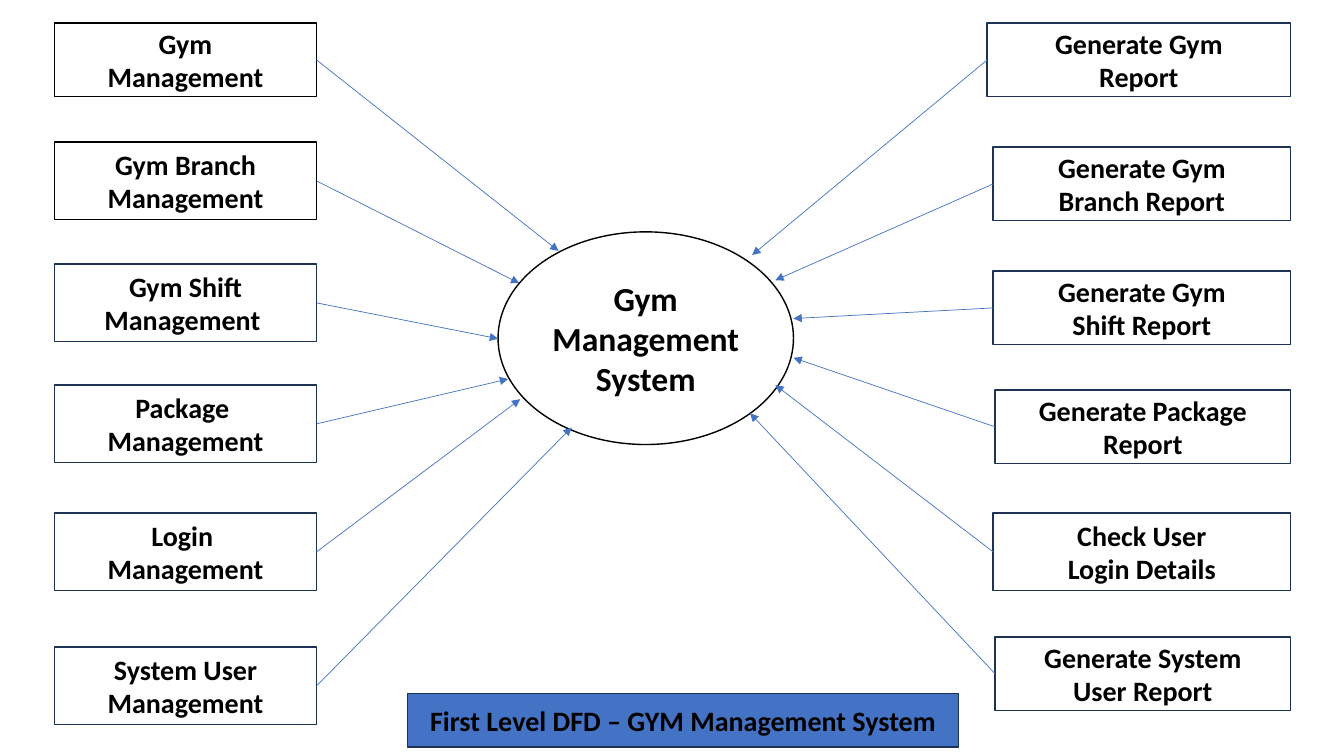
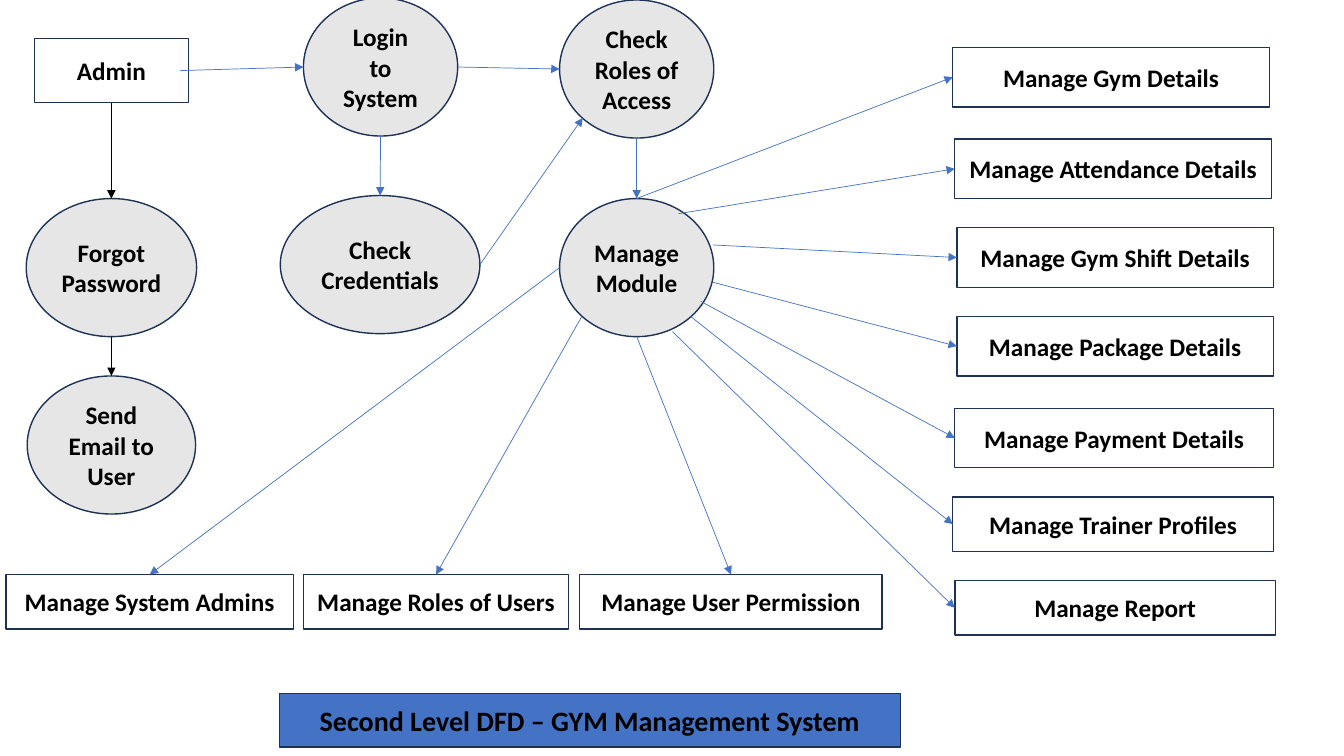
import dataclasses

import lxml.etree
import pptx
import pptx.dml.color
import pptx.enum.shapes
import pptx.enum.text
import pptx.oxml.ns
import pptx.shapes.autoshape
import pptx.slide
import pptx.util

Inches = pptx.util.Inches
RGBColor = pptx.dml.color.RGBColor
MSO_SHAPE = pptx.enum.shapes.MSO_SHAPE
qn = pptx.oxml.ns.qn

BLACK = RGBColor(0x00, 0x00, 0x00)
WHITE = RGBColor(0xFF, 0xFF, 0xFF)
GREY = RGBColor(0xE7, 0xE6, 0xE6)
BLUE = RGBColor(0x44, 0x72, 0xC4)
NAVY = RGBColor(0x1E, 0x32, 0x56)
FONT = "Calibri"

Point = tuple[float, float]


@dataclasses.dataclass(frozen=True)
class Node:
    text: str
    left: float
    top: float
    width: float
    height: float
    size: int = 18
    fill: RGBColor = WHITE
    line: RGBColor = NAVY
    shape: MSO_SHAPE = MSO_SHAPE.RECTANGLE

    @property
    def west(self) -> Point:
        return self.left, self.top + self.height / 2

    @property
    def east(self) -> Point:
        return self.left + self.width, self.top + self.height / 2

    @property
    def north(self) -> Point:
        return self.left + self.width / 2, self.top

    @property
    def south(self) -> Point:
        return self.left + self.width / 2, self.top + self.height


@dataclasses.dataclass(frozen=True)
class Link:
    node: Node
    end: Point


def process(text: str, left: float, top: float, width: float = 1.53) -> Node:
    return Node(text, left, top, width, 1.37, fill=GREY,
                shape=MSO_SHAPE.FLOWCHART_CONNECTOR)


def module(text: str, left: float, top: float, width: float = 3.14,
           height: float = 0.59) -> Node:
    return Node(text, left, top, width, height)


def management(text: str, top: float, height: float = 0.77,
               line: RGBColor = NAVY) -> Node:
    return Node(text, 0.54, top, 2.6, height, 20, line=line)


def report(text: str, left: float, top: float, height: float = 0.73) -> Node:
    return Node(text, left, top, 12.8 - left, height, 20)


SYSTEM = Node("Gym\vManagement\vSystem", 4.94, 2.3, 2.93, 2.11, 24,
              line=BLACK, shape=MSO_SHAPE.OVAL)

MANAGEMENT_LINKS = [
    Link(management("Gym\vManagement", 0.23, 0.73, BLACK), (5.54, 2.49)),
    Link(management("Gym Branch Management", 1.41, line=BLACK), (5.15, 2.81)),
    Link(management("Gym Shift\nManagement ", 2.62), (4.94, 3.36)),
    Link(management("Package \nManagement", 3.82), (5.04, 3.76)),
    Link(management("Login \nManagement", 5.09), (5.16, 3.96)),
    Link(management("System User\vManagement", 6.42), (5.67, 4.24)),
]

REPORT_LINKS = [
    Link(report("Generate Gym\vReport", 9.79, 0.23), (7.46, 2.53)),
    Link(report("Generate Gym\vBranch Report", 9.85, 1.46), (7.69, 2.78)),
    Link(report("Generate Gym\vShift Report", 9.85, 2.69), (7.87, 3.16)),
    Link(report("Generate Package\vReport", 9.87, 3.87), (7.87, 3.55)),
    Link(report("Check User\vLogin Details", 9.85, 5.09, 0.77), (7.69, 3.82)),
    Link(report("Generate System\vUser Report", 9.87, 6.32), (7.44, 4.1)),
]

LOGIN = process("Login\vto\vSystem", 3.01, -0.02)
ROLES = process("Check\vRoles of\vAccess", 5.55, 0)
CREDENTIALS = process("Check\nCredentials", 2.78, 1.94, 1.98)
MANAGE = process("Manage\vModule", 5.55, 1.97)
FORGOT = process("Forgot\vPassword", 0.26, 1.97, 1.69)
EMAIL = process("Send\vEmail to\vUser", 0.27, 3.73, 1.67)
ADMIN = module("Admin", 0.34, 0.38, 1.53, 0.64)

DETAIL_LINKS = [
    Link(module("Manage Gym Details", 9.45, 0.47), MANAGE.north),
    Link(module("Manage Attendance Details", 9.47, 1.38), (6.73, 2.12)),
    Link(module("Manage Gym Shift Details", 9.49, 2.26), (7.07, 2.43)),
    Link(module("Manage Package Details", 9.49, 3.14), (7.07, 2.8)),
    Link(module("Manage Payment Details", 9.47, 4.05, 3.16), (6.95, 2.99)),
    Link(module("Manage Trainer Profiles", 9.45, 4.93, 3.18, 0.54), (6.85, 3.14)),
    Link(module("Manage Report", 9.47, 5.76, 3.18, 0.54), (6.67, 3.29)),
]

ACCESS_LINKS = [
    Link(module("Manage System Admins", 0.06, 5.7, 2.85, 0.54), MANAGE.west),
    Link(module("Manage Roles of Users", 3.01, 5.7, 2.63, 0.54), (5.77, 3.14)),
    Link(module("Manage User Permission", 5.75, 5.7, 3, 0.54), MANAGE.south),
]


def add_node(s: pptx.slide.Slide, node: Node) -> pptx.shapes.autoshape.Shape:
    sp = s.shapes.add_shape(node.shape, Inches(node.left), Inches(node.top),
                            Inches(node.width), Inches(node.height))
    sp.shadow.inherit = False
    sp.fill.solid()
    sp.fill.fore_color.rgb = node.fill
    sp.line.color.rgb = node.line
    sp.line.width = pptx.util.Pt(1)
    tf = sp.text_frame
    tf.word_wrap = True
    tf.vertical_anchor = pptx.enum.text.MSO_ANCHOR.MIDDLE
    for i, paragraph in enumerate(node.text.split("\n")):
        p = tf.add_paragraph() if i else tf.paragraphs[0]
        p.alignment = pptx.enum.text.PP_ALIGN.CENTER
        for j, text in enumerate(paragraph.split("\v")):
            if j:
                p.add_line_break()
            r = p.add_run()
            r.text = text
            r.font.name = FONT
            r.font.size = pptx.util.Pt(node.size)
            r.font.bold = True
            r.font.color.rgb = BLACK
    return sp


def add_arrow(s: pptx.slide.Slide, start: Point, end: Point,
              color: RGBColor = BLUE) -> None:
    cxn = s.shapes.add_connector(pptx.enum.shapes.MSO_CONNECTOR.STRAIGHT,
                                 *(Inches(v) for v in start + end))
    cxn.line.color.rgb = color
    cxn.line.width = pptx.util.Pt(0.5)
    sppr = cxn.element.spPr
    lxml.etree.SubElement(sppr.find(qn("a:ln")), qn("a:tailEnd"), type="triangle")
    lxml.etree.SubElement(sppr, qn("a:effectLst"))


def add_caption(s: pptx.slide.Slide, text: str, left: float, width: float) -> None:
    add_node(s, Node(text, left, 6.88, width, 0.53, 20, fill=BLUE))


def build_first_level(s: pptx.slide.Slide) -> None:
    add_node(s, SYSTEM)
    for link in MANAGEMENT_LINKS:
        add_node(s, link.node)
        add_arrow(s, link.node.east, link.end)
    for link in REPORT_LINKS:
        add_node(s, link.node)
        add_arrow(s, link.node.west, link.end)
    add_caption(s, "First Level DFD – GYM Management System", 4.04, 5.47)


def build_second_level(s: pptx.slide.Slide) -> None:
    for node in (LOGIN, ROLES, CREDENTIALS, MANAGE, FORGOT, EMAIL, ADMIN):
        add_node(s, node)
    for link in DETAIL_LINKS:
        add_node(s, link.node)
        add_arrow(s, link.end, link.node.west)
    for link in ACCESS_LINKS:
        add_node(s, link.node)
        add_arrow(s, link.end, link.node.north)
    add_arrow(s, ADMIN.south, FORGOT.north, BLACK)
    add_arrow(s, FORGOT.south, EMAIL.north, BLACK)
    add_arrow(s, (1.79, 0.7), LOGIN.west)
    add_arrow(s, LOGIN.east, ROLES.west)
    add_arrow(s, LOGIN.south, CREDENTIALS.north)
    add_arrow(s, ROLES.south, MANAGE.north)
    add_arrow(s, CREDENTIALS.east, (5.78, 1.17))
    add_caption(s, "Second Level DFD – GYM Management System", 2.77, 6.16)


def main() -> None:
    prs = pptx.Presentation()
    prs.slide_width = Inches(13.33)
    prs.slide_height = Inches(7.5)
    blank = prs.slide_layouts[6]
    for build in (build_first_level, build_second_level):
        build(prs.slides.add_slide(blank))
    prs.save("out.pptx")


if __name__ == "__main__":
    main()
